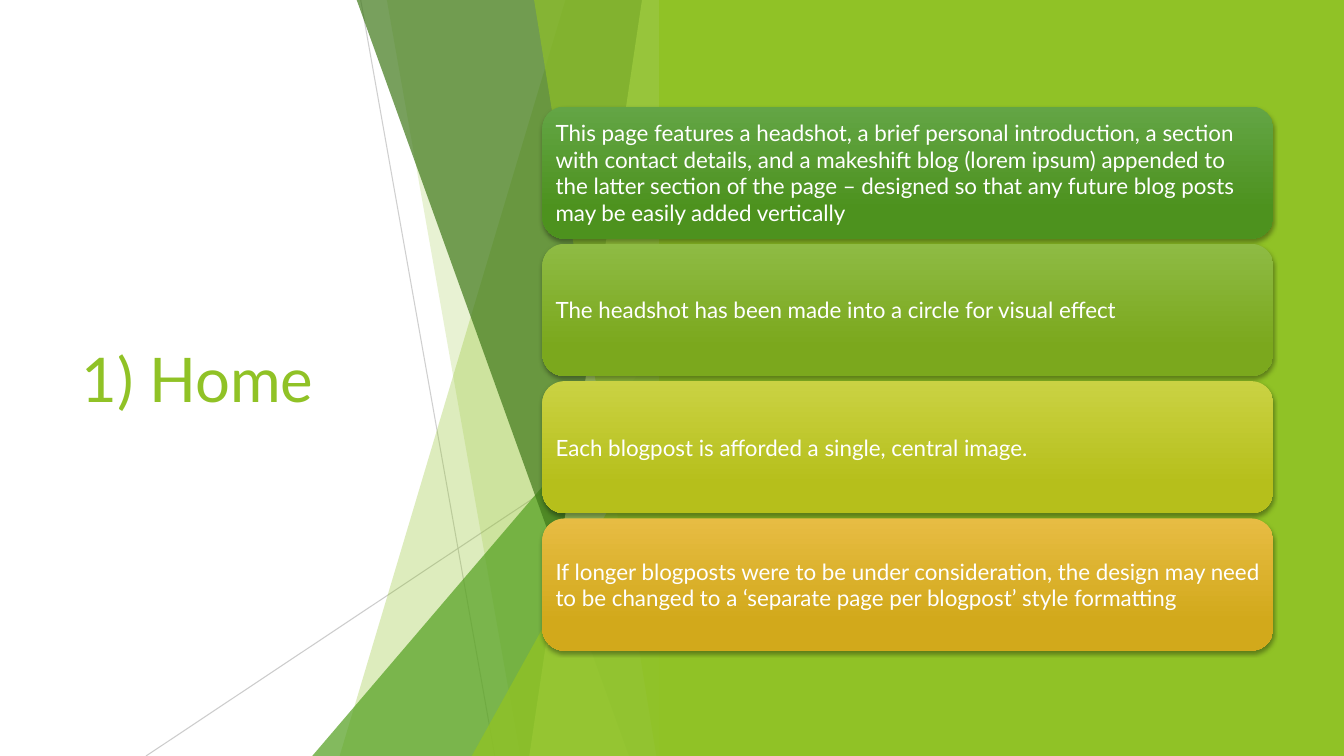
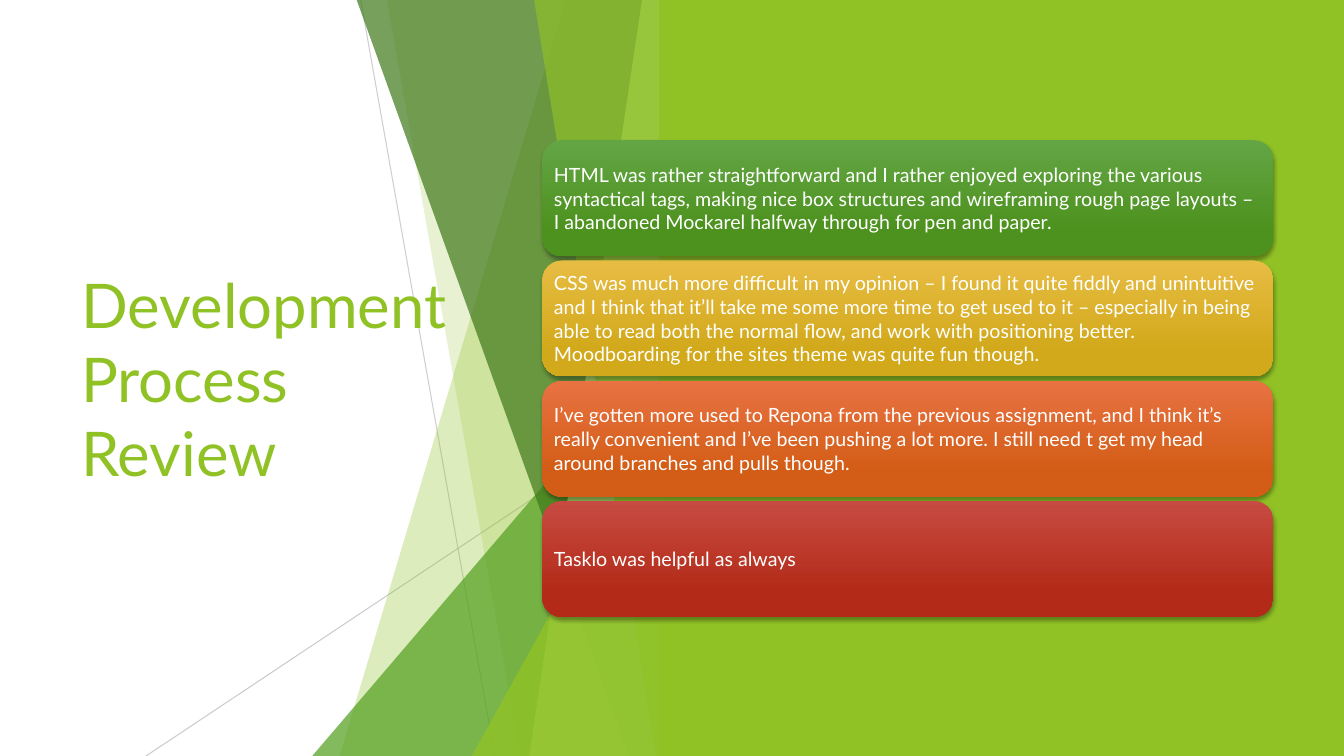
import lxml.etree
import pptx
import pptx.dml.color
import pptx.enum.shapes
import pptx.enum.text
import pptx.oxml.ns
import pptx.util

Cm = pptx.util.Cm
Pt = pptx.util.Pt
RGBColor = pptx.dml.color.RGBColor
SHAPE = pptx.enum.shapes.MSO_SHAPE
qn = pptx.oxml.ns.qn

FONT = "Lato"
WHITE = RGBColor(0xFF, 0xFF, 0xFF)
BLACK = RGBColor(0x00, 0x00, 0x00)
HAIRLINE = RGBColor(0xBF, 0xBF, 0xBF)
LIME = RGBColor(0x90, 0xC2, 0x26)
PALE_LIME = RGBColor(0xC0, 0xE4, 0x74)
GREEN = RGBColor(0x54, 0xA0, 0x21)
DARK_GREEN = RGBColor(0x3F, 0x78, 0x19)

# Card gradients: top colour, bottom colour
GREEN_CARD = RGBColor(0x63, 0xA5, 0x45), RGBColor(0x4D, 0x92, 0x1E)
LIME_CARD = RGBColor(0x8E, 0xBB, 0x44), RGBColor(0x7B, 0xA8, 0x1D)
YELLOW_CARD = RGBColor(0xCA, 0xD2, 0x43), RGBColor(0xB6, 0xBF, 0x1B)
GOLD_CARD = RGBColor(0xE7, 0xBC, 0x43), RGBColor(0xD2, 0xA9, 0x1B)
ORANGE_CARD = RGBColor(0xE8, 0x72, 0x42), RGBColor(0xD3, 0x5D, 0x16)
RED_CARD = RGBColor(0xC7, 0x4B, 0x42), RGBColor(0xB3, 0x2B, 0x18)

SLIDE_W, SLIDE_H = 33.87, 19.05
FACETS_RIGHT = 16.92
PANEL_LEFT = 16.61
CARD_LEFT, CARD_W = 13.67, 18.42
CARDS_MIDDLE = 9.54

SLIDES = [
    {
        "title": "1) Home",
        "card_height": 3.33, "gap": 0.13, "inset": 0.17, "size": 16,
        "cards": [
            ("This page features a headshot, a brief personal introduction, a section "
             "with contact details, and a makeshift blog (lorem ipsum) appended to the "
             "latter section of the page – designed so that any future blog posts may "
             "be easily added vertically", GREEN_CARD),
            ("The headshot has been made into a circle for visual effect", LIME_CARD),
            ("Each blogpost is afforded a single, central image.", YELLOW_CARD),
            ("If longer blogposts were to be under consideration, the design may need to "
             "be changed to a ‘separate page per blogpost’ style formatting", GOLD_CARD),
        ],
    },
    {
        "title": "Development Process Review",
        "card_height": 2.92, "gap": 0.11, "inset": 0.15, "size": 14,
        "cards": [
            ("HTML was rather straightforward and I rather enjoyed exploring the various "
             "syntactical tags, making nice box structures and wireframing rough page "
             "layouts – I abandoned Mockarel halfway through for pen and paper.",
             GREEN_CARD),
            ("CSS was much more difficult in my opinion – I found it quite fiddly and "
             "unintuitive and I think that it’ll take me some more time to get used to "
             "it – especially in being able to read both the normal flow, and work with "
             "positioning better. Moodboarding for the sites theme was quite fun though.",
             GOLD_CARD),
            ("I’ve gotten more used to Repona from the previous assignment, and I think "
             "it’s really convenient and I’ve been pushing a lot more. I still need t get "
             "my head around branches and pulls though.", ORANGE_CARD),
            ("Tasklo was helpful as always", RED_CARD),
        ],
    },
]


def set_opacity(properties, percent):
    """Make the one solid colour below an XML element partly transparent."""
    colour = properties.find(".//" + qn("a:srgbClr"))
    lxml.etree.SubElement(colour, qn("a:alpha"), val=str(percent * 1000))


def write(shape, text, *, size, color, inset_x, inset_y):
    frame = shape.text_frame
    frame.word_wrap = True
    frame.vertical_anchor = pptx.enum.text.MSO_ANCHOR.MIDDLE
    frame.margin_left = frame.margin_right = Cm(inset_x)
    frame.margin_top = frame.margin_bottom = Cm(inset_y)
    paragraph = frame.paragraphs[0]
    paragraph.alignment = pptx.enum.text.PP_ALIGN.LEFT
    run = paragraph.add_run()
    run.text = text
    run.font.name = FONT
    run.font.size = Pt(size)
    run.font.color.rgb = color


def paint(shape, color, opacity=100):
    shape.shadow.inherit = False
    shape.fill.solid()
    shape.fill.fore_color.rgb = color
    shape.line.fill.background()
    if opacity < 100:
        set_opacity(shape._element.spPr, opacity)


def add_hairline(slide, start, end, opacity):
    line = slide.shapes.add_connector(
        pptx.enum.shapes.MSO_CONNECTOR.STRAIGHT, *map(Cm, start + end))
    line.line.color.rgb = HAIRLINE
    line.line.width = Pt(0.75)
    properties = line._element.spPr
    set_opacity(properties, opacity)
    lxml.etree.SubElement(properties, qn("a:effectLst"))


def add_facet(slide, top_left, bottom_left, color, opacity):
    """Full-height band with a slanted left edge."""
    outline = slide.shapes.build_freeform(Cm(top_left), 0)
    outline.add_line_segments([
        (Cm(FACETS_RIGHT), 0),
        (Cm(FACETS_RIGHT), Cm(SLIDE_H)),
        (Cm(bottom_left), Cm(SLIDE_H)),
    ])
    paint(outline.convert_to_shape(), color, opacity)


def add_corner(slide, left, top, color, opacity):
    """Right triangle rising from the bottom edge to the facets' right edge."""
    corner = slide.shapes.add_shape(
        SHAPE.ISOSCELES_TRIANGLE, Cm(left), Cm(top),
        Cm(FACETS_RIGHT - left), Cm(SLIDE_H - top))
    corner.adjustments[0] = 1
    paint(corner, color, opacity)


def add_backdrop(slide):
    slide.background.fill.solid()
    slide.background.fill.fore_color.rgb = WHITE
    add_hairline(slide, (9.09, 0), (12.47, SLIDE_H), 75)
    add_hairline(slide, (FACETS_RIGHT, 10.24), (3.68, SLIDE_H), 80)
    add_facet(slide, 14.25, 8.56, LIME, 30)
    add_facet(slide, 9.75, 13.11, LIME, 20)
    add_corner(slide, 7.87, 8.46, GREEN, 72)
    add_facet(slide, 8.99, 15.85, DARK_GREEN, 70)
    add_facet(slide, 16.18, 13.34, PALE_LIME, 70)
    add_facet(slide, 13.46, 16.54, LIME, 65)
    add_corner(slide, 11.89, 9.98, LIME, 80)
    panel = slide.shapes.add_shape(
        SHAPE.RECTANGLE, Cm(PANEL_LEFT), 0, Cm(SLIDE_W - PANEL_LEFT), Cm(SLIDE_H))
    paint(panel, LIME)


def add_title(slide, text):
    title = slide.shapes.add_textbox(Cm(1.8), Cm(3.84), Cm(9.86), Cm(11.38))
    write(title, text, size=44, color=LIME, inset_x=0.25, inset_y=0.13)


def add_drop_shadow(shape):
    shape.shadow.inherit = False
    effects = shape._element.spPr.find(qn("a:effectLst"))
    shadow = lxml.etree.SubElement(
        effects, qn("a:outerShdw"), blurRad=str(Pt(3)), dist=str(Pt(2)),
        dir="5400000", algn="ctr", rotWithShape="0")
    lxml.etree.SubElement(shadow, qn("a:srgbClr"), val=str(BLACK))
    set_opacity(shadow, 35)


def add_card(slide, text, gradient, top, height, inset, size):
    card = slide.shapes.add_shape(
        SHAPE.ROUNDED_RECTANGLE, Cm(CARD_LEFT), Cm(top), Cm(CARD_W), Cm(height))
    card.fill.gradient()
    card.fill.gradient_angle = 270
    for stop, color, position in zip(card.fill.gradient_stops, gradient, (0, 0.78)):
        stop.color.rgb = color
        stop.position = position
    card.line.fill.background()
    add_drop_shadow(card)
    write(card, text, size=size, color=WHITE, inset_x=inset, inset_y=inset)


def add_cards(slide, content):
    """Stack the cards with equal gaps around the shared middle line."""
    cards, height, gap = content["cards"], content["card_height"], content["gap"]
    first_top = CARDS_MIDDLE - (len(cards) * (height + gap) - gap) / 2
    for index, (text, gradient) in enumerate(cards):
        add_card(slide, text, gradient, first_top + index * (height + gap),
                 height, content["inset"], content["size"])


def main():
    deck = pptx.Presentation()
    deck.slide_width, deck.slide_height = Cm(SLIDE_W), Cm(SLIDE_H)
    blank = deck.slide_layouts[6]
    for content in SLIDES:
        slide = deck.slides.add_slide(blank)
        add_backdrop(slide)
        add_title(slide, content["title"])
        add_cards(slide, content)
    deck.save("out.pptx")


if __name__ == "__main__":
    main()
